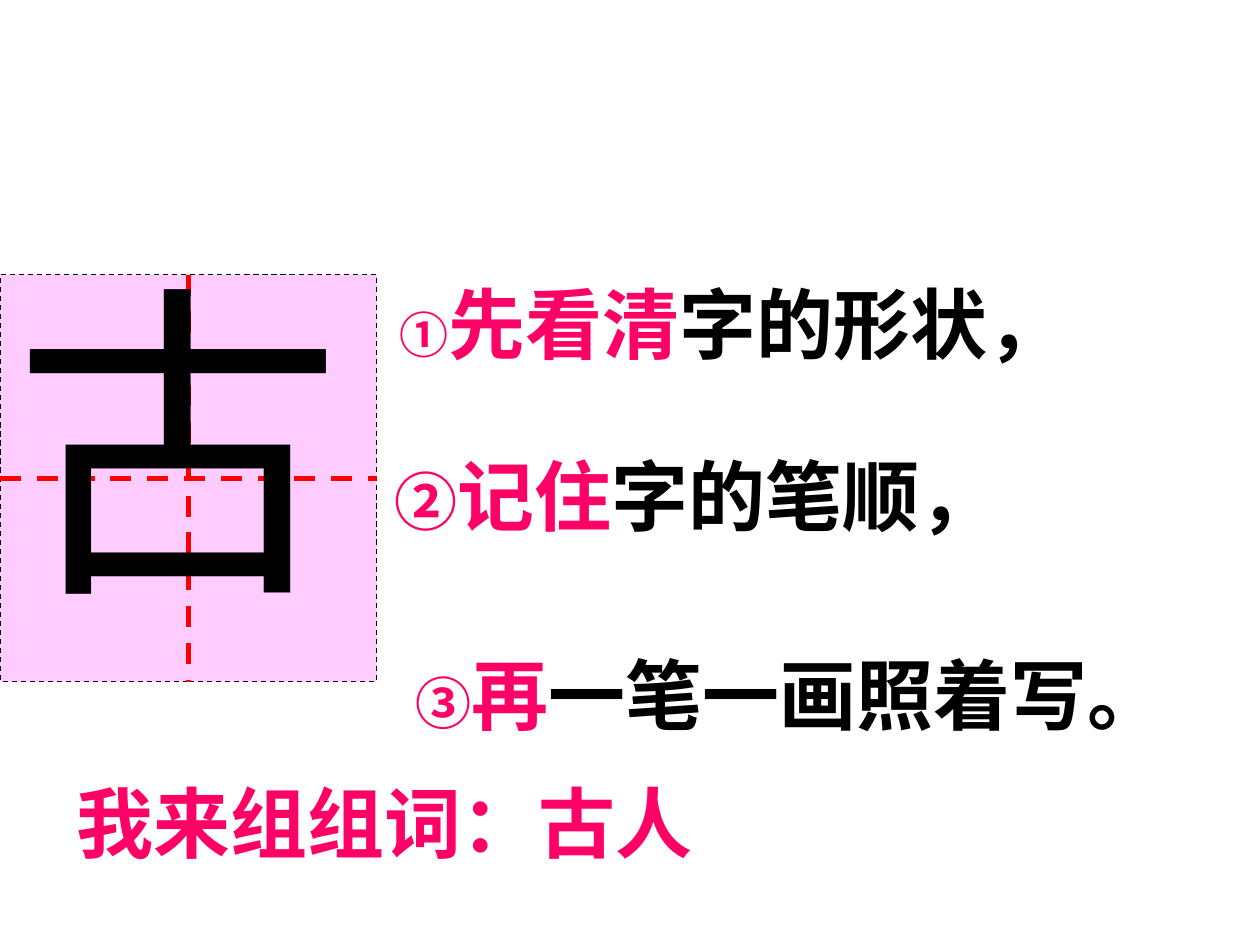
from lxml.etree import SubElement
from pptx import Presentation
from pptx.dml.color import RGBColor
from pptx.enum.dml import MSO_LINE
from pptx.enum.shapes import MSO_CONNECTOR, MSO_SHAPE
from pptx.enum.text import MSO_ANCHOR as Anchor
from pptx.oxml.ns import qn
from pptx.util import Inches, Pt

COLORS = {"paper": "FFCCFF", "border": "000000", "guide": "FF0000",
          "ink": "000000", "accent": "FF0066"}
SANS = "Noto Sans CJK SC"
SERIF = "Times New Roman"


def add_run(paragraph, text, size=44, color="ink", font=SERIF, bold=True):
    run = paragraph.add_run()
    run.text = text
    run.font.size = Pt(size)
    run.font.bold = bold
    run.font.color.rgb = RGBColor.from_string(COLORS[color])
    run.font.name = font
    SubElement(run.font._element, qn("a:ea"), typeface=SANS)


class WritingSlide:
    def __init__(self, presentation):
        self.slide = presentation.slides.add_slide(presentation.slide_layouts[6])

    def style_line(self, line, color, width):
        line.color.rgb = RGBColor.from_string(COLORS[color])
        line.width = Pt(width)
        line.dash_style = MSO_LINE.DASH

    def square(self, left, top, width, height):
        shape = self.slide.shapes.add_shape(
            MSO_SHAPE.RECTANGLE, Inches(left), Inches(top), Inches(width), Inches(height))
        shape.shadow.inherit = False
        shape.fill.solid()
        shape.fill.fore_color.rgb = RGBColor.from_string(COLORS["paper"])
        self.style_line(shape.line, "border", 0.75)
        return shape

    def guide(self, square, start_side, end_side):
        connector = self.slide.shapes.add_connector(MSO_CONNECTOR.STRAIGHT, 0, 0, 0, 0)
        connector.begin_connect(square, start_side)
        connector.end_connect(square, end_side)
        self.style_line(connector.line, "guide", 3)
        SubElement(connector._element.spPr, qn("a:effectLst"))

    def text(self, left, top, width, height, runs, wrap=True, anchor=Anchor.TOP):
        box = self.slide.shapes.add_textbox(
            Inches(left), Inches(top), Inches(width), Inches(height))
        frame = box.text_frame
        frame.word_wrap = wrap
        frame.vertical_anchor = anchor
        paragraph = frame.paragraphs[0]
        for text, style in runs:
            add_run(paragraph, text, **style)


def main():
    presentation = Presentation()
    presentation.slide_width = Inches(10)
    presentation.slide_height = Inches(7.5)
    page = WritingSlide(presentation)

    square = page.square(0, 2.18, 2.99, 3.23)
    page.guide(square, 1, 3)
    page.guide(square, 0, 2)
    page.text(0, 1.83, 4.83, 3.25, [("古", dict(size=189, bold=False))])

    accent = dict(color="accent")
    page.text(3.07, 1.23, 6.93, 2.67, [
        ("①", dict(size=28, color="accent")),
        ("先看清", dict(color="accent", font=SANS)),
        ("字的形状，", dict(font=SANS))], anchor=Anchor.MIDDLE)
    page.text(3.03, 3.51, 5.04, 1.57, [
        ("②", dict(size=36, color="accent", font=SANS)),
        ("记住", accent), ("字的笔顺，", {})])
    page.text(3.2, 5.09, 6.15, 0.84, [
        ("③", dict(size=32, color="accent")),
        ("再", accent), ("一笔一画照着写。", {})], wrap=False)
    page.text(0.51, 6.11, 5.09, 0.84, [("我来组组词：古人", accent)], wrap=False)

    presentation.save("out.pptx")


if __name__ == "__main__":
    main()
